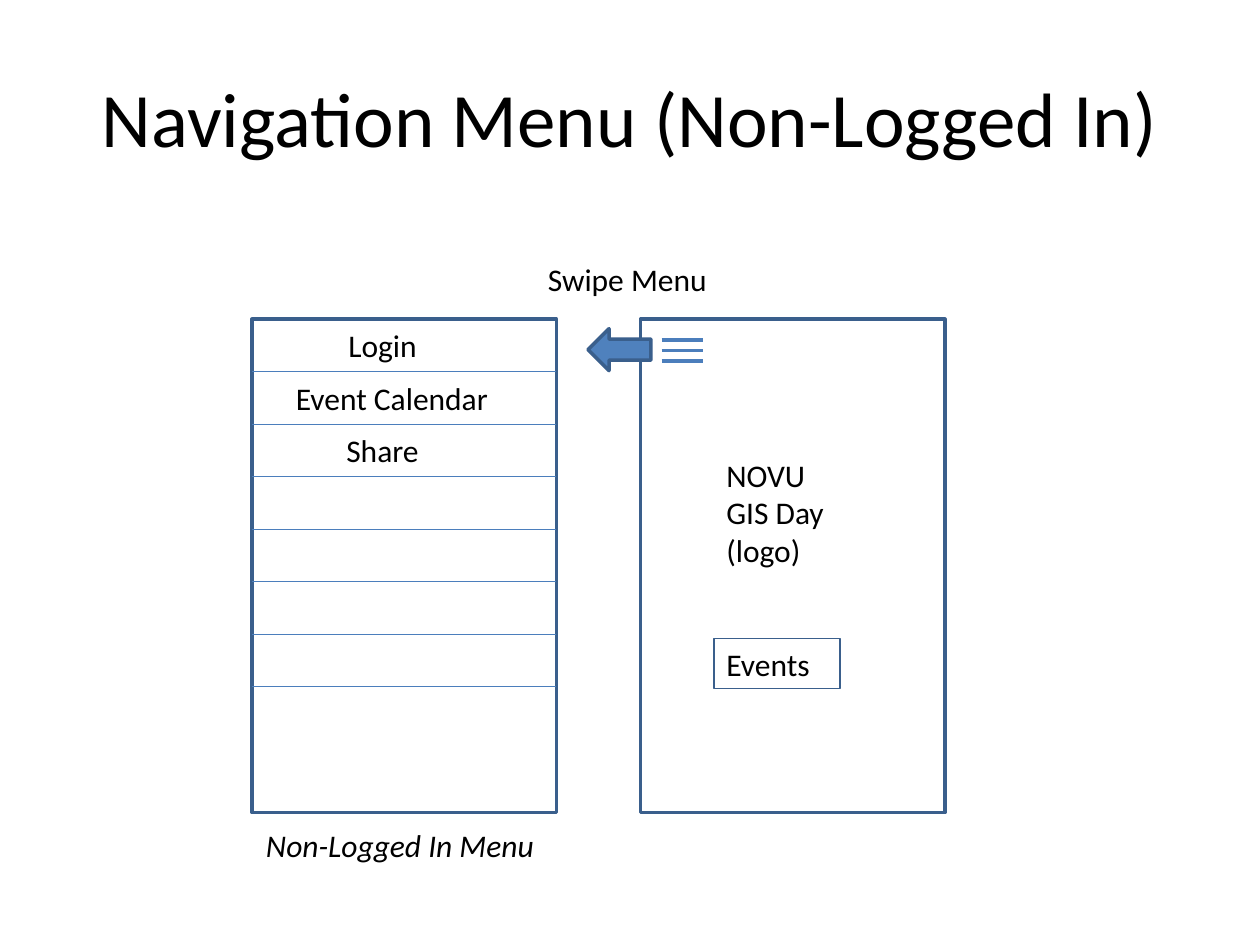
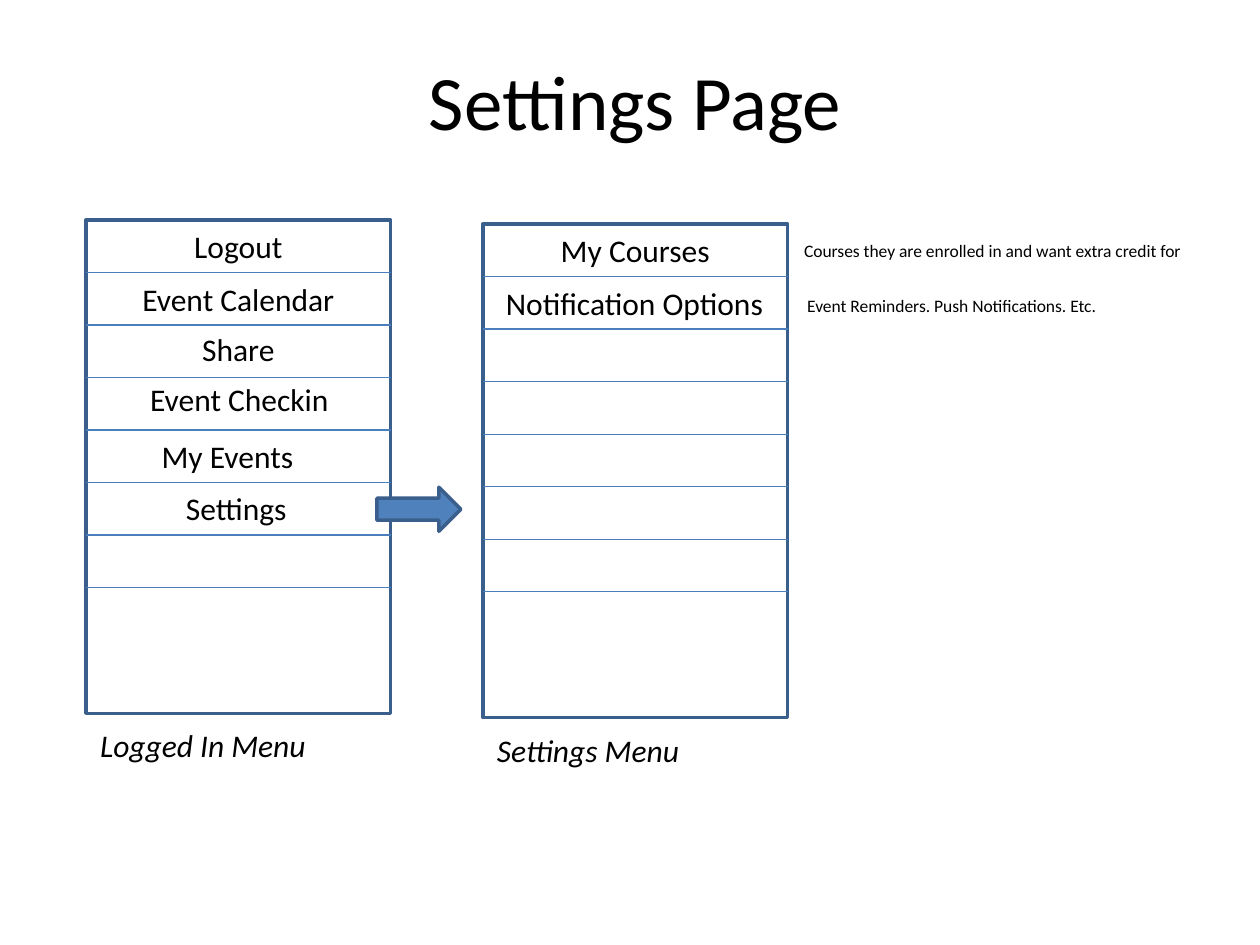
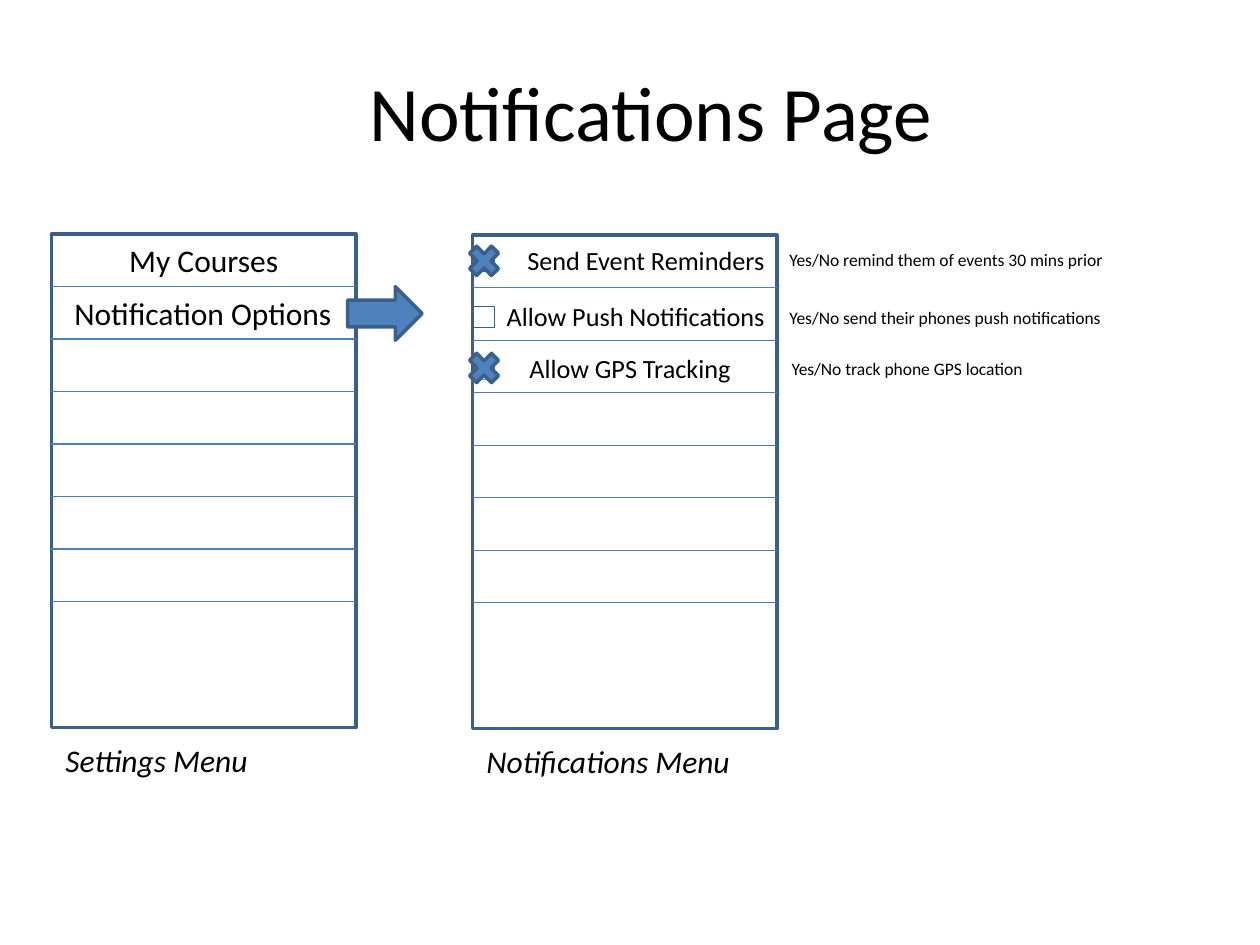
from dataclasses import dataclass

from lxml.etree import SubElement
from pptx import Presentation
from pptx.dml.color import RGBColor
from pptx.enum.shapes import MSO_CONNECTOR as Connector, MSO_SHAPE as Shape
from pptx.enum.text import MSO_ANCHOR as Anchor, MSO_AUTO_SIZE as AutoSize, PP_ALIGN as Align
from pptx.oxml.ns import qn
from pptx.util import Inches, Pt

BLACK = RGBColor(0x00, 0x00, 0x00)
WHITE = RGBColor(0xFF, 0xFF, 0xFF)
BLUE = RGBColor(0x4F, 0x81, 0xBD)
OUTLINE = RGBColor(0x3A, 0x5F, 0x8C)
RULE = RGBColor(0x4B, 0x7E, 0xBC)

COLUMNS, ROWS = 120, 90
MENU_WIDTH, MENU_HEIGHT = 29, 47
ITEM_STEP, DIVIDERS = 5, 7
LABEL, SMALL, NOTE = 18, 15, 10
TEXT_HEIGHT = {LABEL: 4.8, SMALL: 4.2, NOTE: 3.2}


@dataclass
class Item:
    text: str
    indent: float = 1
    width: float = 27
    align: Align = Align.CENTER
    size: int = LABEL
    drop: float = 0


class Wireframe:
    font = "Calibri"

    def __init__(self):
        self.deck = Presentation()
        self.deck.slide_width, self.deck.slide_height = Inches(10), Inches(7.5)
        self.column = self.deck.slide_width / COLUMNS
        self.row = self.deck.slide_height / ROWS
        self.page = None
        self.canvas = None

    def place(self, left, top, width, height):
        return (round(left * self.column), round(top * self.row),
                round(width * self.column), round(height * self.row))

    def start(self, title, left, top):
        self.page = self.deck.slides.add_slide(self.deck.slide_layouts[6])
        self.page.background.fill.solid()
        self.page.background.fill.fore_color.rgb = WHITE
        self.canvas = self.page.shapes
        box = self.text([[title]], left, top, 108, 15, size=44, align=Align.CENTER)
        box.text_frame.auto_size = AutoSize.NONE
        box.text_frame.vertical_anchor = Anchor.MIDDLE

    def text(self, paragraphs, left, top, width, height=None, size=LABEL,
             align=Align.LEFT, italic=False, wrap=True):
        height = height or TEXT_HEIGHT[size]
        box = self.canvas.add_textbox(*self.place(left, top, width, height))
        frame = box.text_frame
        frame.word_wrap = wrap
        frame.auto_size = AutoSize.SHAPE_TO_FIT_TEXT
        for index, lines in enumerate(paragraphs):
            para = frame.add_paragraph() if index else frame.paragraphs[0]
            para.alignment = align
            for number, line in enumerate(lines):
                if number:
                    para.add_line_break()
                span = para.add_run()
                span.text = line
                span.font.name = self.font
                span.font.size = Pt(size)
                span.font.italic = italic
                span.font.color.rgb = BLACK
        return box

    def note(self, words, left, top, width, size=NOTE):
        self.text([[words]], left, top, width, size=size, wrap=False)

    def button(self, words, left, top, width):
        box = self.text([[words]], left, top, width)
        box.line.color.rgb = OUTLINE
        box.line.width = Pt(0.75)

    def shape(self, kind, left, top, width, height, fill=None, weight=2):
        shape = self.canvas.add_shape(kind, *self.place(left, top, width, height))
        shape.shadow.inherit = False
        if fill is None:
            shape.fill.background()
        else:
            shape.fill.solid()
            shape.fill.fore_color.rgb = fill
        shape.line.color.rgb = OUTLINE
        shape.line.width = Pt(weight)
        return shape

    def frame(self, left, top):
        self.shape(Shape.RECTANGLE, left, top, MENU_WIDTH, MENU_HEIGHT)

    def arrow(self, left, top, width, height, turn=0):
        self.shape(Shape.RIGHT_ARROW, left, top, width, height, BLUE).rotation = turn

    def checkbox(self, left, top, checked):
        self.shape(Shape.RECTANGLE, left, top, 2, 2, weight=0.5)
        if checked:
            self.shape(Shape.MATH_MULTIPLY, left - 1, top - 1.1, 4, 4.1, BLUE)

    def rule(self, left, top, width, weight=0.75):
        x, y, length, _ = self.place(left, top, width, 0)
        line = self.canvas.add_connector(Connector.STRAIGHT, x, y, x + length, y)
        line.line.color.rgb = RULE
        line.line.width = Pt(weight)
        SubElement(line._element.spPr, qn("a:effectLst"))

    def menu(self, left, top, items, caption, caption_width):
        self.canvas = self.page.shapes.add_group_shape().shapes
        self.frame(left, top)
        for index in range(1, DIVIDERS + 1):
            self.rule(left, top + index * ITEM_STEP, MENU_WIDTH)
        for index, item in enumerate(items):
            self.text([[item.text]], left + item.indent,
                      top + 0.1 + index * ITEM_STEP + item.drop, item.width,
                      size=item.size, align=item.align)
        self.text([[caption]], left + 0.15, top + 47.65, caption_width,
                  italic=True, wrap=False)
        self.canvas = self.page.shapes


wire = Wireframe()
settings_items = [Item("My Courses"), Item("Notification Options", align=Align.LEFT)]

wire.start("Navigation Menu (Non-Logged In)", 6, 3.6)
wire.frame(61, 30.4)
for index in range(3):
    wire.rule(63, 32.4 + index, 4, weight=2)
wire.text([["NOVU ", "GIS Day"], ["(logo)"]], 68, 42.8, 17, 12.1)
wire.button("Events", 68, 60.8, 12)
wire.arrow(56, 31.3, 6, 4, turn=180)
wire.menu(24, 30.4, [
    Item("Login", 8, 15, Align.LEFT),
    Item("Event Calendar", 3, 23, Align.LEFT),
    Item("Share", 7.8, 15, Align.LEFT),
], "Non-Logged In Menu", 28.4)
wire.note("Swipe Menu", 51, 24.2, 17.8, LABEL)

wire.start("Settings Page", 6.5, 2)
wire.menu(46, 21.35, settings_items, "Settings Menu", 20)
wire.note("Courses they are enrolled in and want extra credit for", 75.4, 22.3, 39.6)
wire.note("Event Reminders. Push Notifications. Etc.", 75.7, 27.5, 30.7)
wire.menu(8.2, 20.95, [
    Item("Logout", 0.2, 28.6),
    Item("Event Calendar", 0.2, 28.6),
    Item("Share", 0.2, 28.6, drop=-0.2),
    Item("Event Checkin", 0.2, 28.8, drop=-0.4),
    Item("My Events", 6, 15, Align.LEFT),
    Item("Settings", -0.1, 28.8, drop=-0.1),
], "Logged In Menu", 22.2)
wire.arrow(35.9, 46.4, 8, 4.2)

wire.start("Notifications Page", 8, 3)
wire.menu(4.9, 22.3, settings_items, "Settings Menu", 20)
wire.menu(45, 22.4, [
    Item("Send Event Reminders", 0, 29, Align.RIGHT, SMALL, 0.2),
    Item("Allow Push Notifications", 1, 28, Align.RIGHT, SMALL, 0.55),
    Item("Allow GPS Tracking", 1, 28, Align.CENTER, SMALL, 0.5),
], "Notifications Menu", 25.9)
for top, checked in [(23.9, True), (29.2, False), (34.1, True)]:
    wire.checkbox(45.1, top, checked)
wire.note("Yes/No remind them of events 30 mins prior", 74, 23.1, 32.9)
wire.note("Yes/No send their phones push notifications", 74, 28.6, 32.6)
wire.note("Yes/No track phone GPS location", 74.2, 33.5, 24.8)
wire.arrow(33.1, 27.3, 7.1, 5.1)

wire.deck.save("out.pptx")
